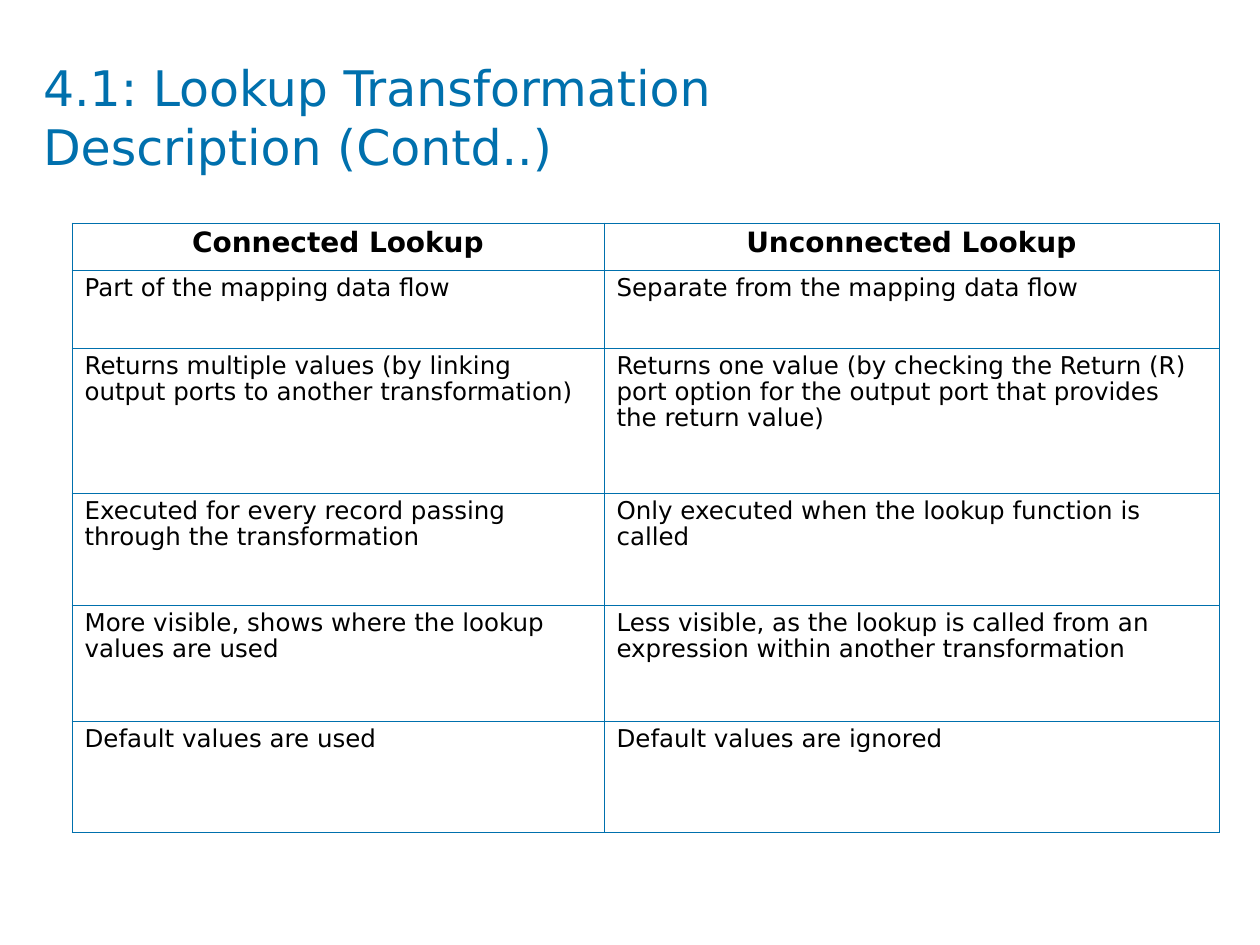
from lxml import etree
from pptx import Presentation
from pptx import util as u
from pptx.dml.color import RGBColor
from pptx.enum import text
from pptx.oxml import ns

BLUE = RGBColor(0x00, 0x70, 0xAD)
BLACK = RGBColor(0, 0, 0)
WHITE = RGBColor(255, 255, 255)
FACE = "DejaVu Sans"
SCALE = 914400 / 126


def px(size):
    return u.Emu(round(size * SCALE))


def style(para, size, color, bold=False):
    para.font.name = FACE
    para.font.size = u.Pt(size)
    para.font.bold = bold
    para.font.color.rgb = color


deck = Presentation()
deck.slide_width, deck.slide_height = px(1260), px(945)
slide = deck.slides.add_slide(deck.slide_layouts[6])

title = slide.shapes.add_textbox(px(43), px(57), px(1176), px(118)).text_frame
title.word_wrap = True
title.margin_left = title.margin_right = title.margin_top = title.margin_bottom = 0
title.vertical_anchor = text.MSO_ANCHOR.MIDDLE
title.text = "4.1: Lookup Transformation\vDescription (Contd..)"
style(title.paragraphs[0], 28, BLUE)

rows = [
    (47, "Connected Lookup", "Unconnected Lookup"),
    (78, "Part of the mapping data flow", "Separate from the mapping data flow"),
    (145, "Returns multiple values (by linking output ports to another transformation)",
     "Returns one value (by checking the Return (R) port option for the output port "
     "that provides the return value)"),
    (112, "Executed for every record passing through the transformation",
     "Only executed when the lookup function is called"),
    (116, "More visible, shows where the lookup values are used",
     "Less visible, as the lookup is called from an expression within another "
     "transformation"),
    (112, "Default values are used", "Default values are ignored"),
]
cols = [532, 615]
high = sum(row[0] for row in rows)
table = slide.shapes.add_table(
    len(rows), len(cols), px(72), px(223), px(sum(cols)), px(high)).table
for col, width in zip(table.columns, cols):
    col.width = px(width)

for r, (height, *words) in enumerate(rows):
    table.rows[r].height = px(height)
    head = r == 0
    for c, word in enumerate(words):
        cell = table.cell(r, c)
        cell.text = word
        para = cell.text_frame.paragraphs[0]
        para.line_spacing = 0.9
        para.alignment = text.PP_ALIGN.CENTER if head else text.PP_ALIGN.LEFT
        style(para, 16 if head else 14, BLACK, head)
        props = cell._tc.get_or_add_tcPr()
        for side in ("lnL", "lnR", "lnT", "lnB"):
            line = etree.SubElement(props, ns.qn("a:" + side), w=str(u.Pt(0.45)))
            fill = etree.SubElement(line, ns.qn("a:solidFill"))
            etree.SubElement(fill, ns.qn("a:srgbClr"), val=str(BLUE))
        cell.fill.solid()
        cell.fill.fore_color.rgb = WHITE

deck.save("out.pptx")
